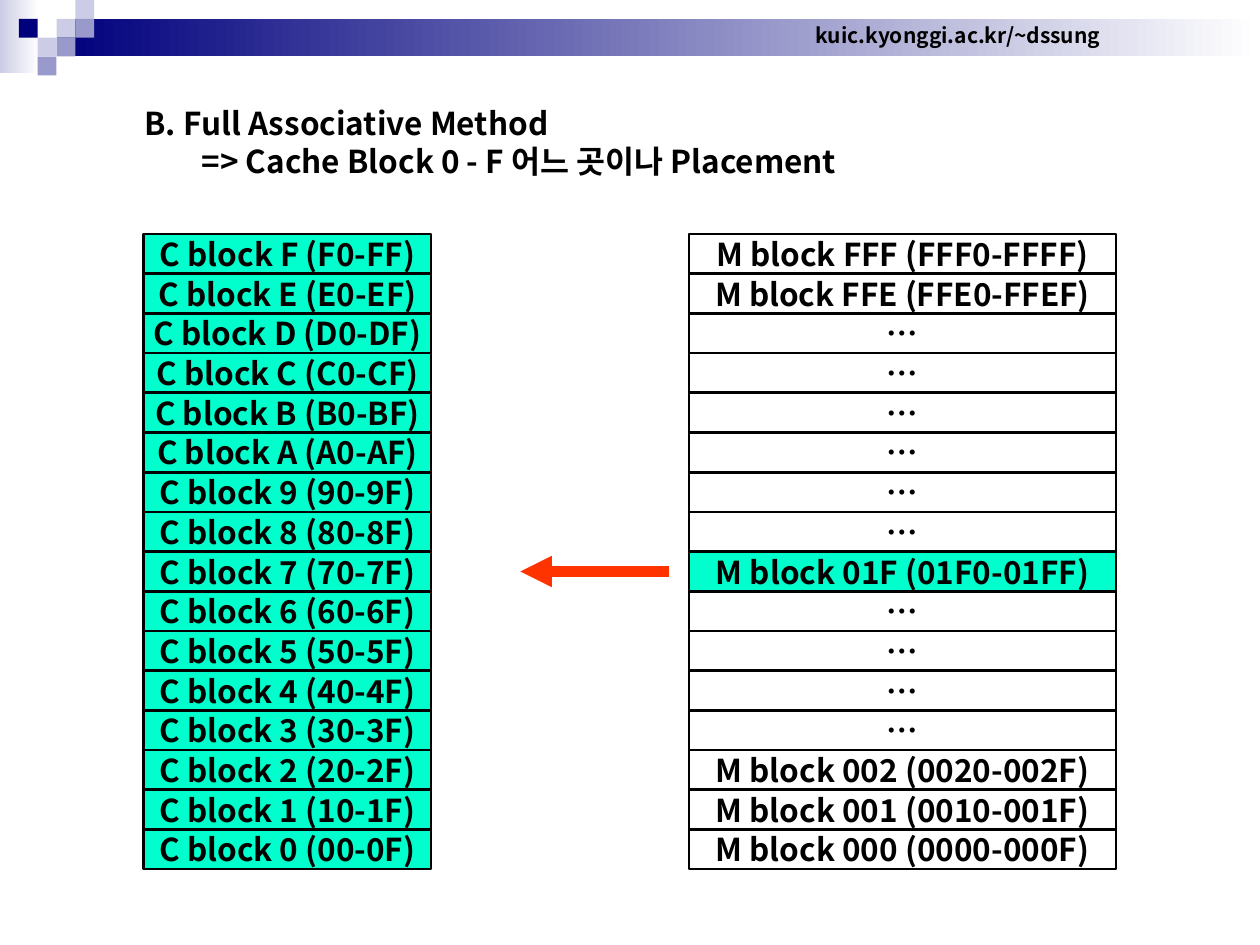
"""Builds a slide on the full associative method of cache block placement."""
from lxml.etree import SubElement
from pptx import Presentation
from pptx.dml.color import RGBColor
from pptx.enum.shapes import MSO_CONNECTOR as Connector, MSO_SHAPE as Shape
from pptx.enum.text import MSO_ANCHOR as Anchor, MSO_AUTO_SIZE as AutoSize, PP_ALIGN as Align
from pptx.oxml.ns import qn
from pptx.util import Cm, Pt

FONT = "Noto Sans CJK KR"
TITLE = [("B. Full Associative Method", 0.15),
         ("=> Cache Block 0 - F 어느 곳이나 Placement", 1.3)]
SITE = "kuic.kyonggi.ac.kr/~dssung"
MINT, WHITE, BLACK, RED = "00FFCC", "FFFFFF", "000000", "FF3300"
NAVY, LAVENDER, VIOLET = "00007D", "CCCCE6", "9999CC"

CACHE = [f"C block {digit} ({digit}0-{digit}F)" for digit in "FEDCBA9876543210"]
LOADED = "M block 01F (01F0-01FF)"
MEMORY = (["M block FFF (FFF0-FFFF)", "M block FFE (FFE0-FFEF)"] + ["…"] * 6
          + [LOADED] + ["…"] * 4
          + [f"M block 00{digit} (00{digit}0-00{digit}F)" for digit in "210"])
COLUMNS = [(MEMORY, 13.89, 8.61), (CACHE, 2.9, 5.79)]
TOP, ROW = 4.72, 0.8

BANDS = [(0, 0, 0.79, 1.47, LAVENDER), (1.14, 0.38, 24.26, 1.04 - 0.28, NAVY)]
TILE = 0.38
TILES = [(3, 1, LAVENDER), (4, 0, LAVENDER), (4, 1, VIOLET), (2, 2, LAVENDER),
         (1, 1, NAVY), (3, 2, VIOLET), (2, 3, VIOLET)]


def color(value):
    return RGBColor.from_string(value)


def apply(target, values):
    for name, value in values.items():
        setattr(target, name, value)


def write(para, text, size, align=Align.CENTER):
    para.alignment = align
    span = para.add_run()
    span.text = text
    apply(span.font, {"size": Pt(size), "bold": True, "name": FONT})
    span.font.color.rgb = color(BLACK)
    SubElement(span.font._element, qn("a:ea"), typeface=FONT)


def add_box(page, left, top, width, height, fill):
    box = page.shapes.add_shape(Shape.RECTANGLE, Cm(left), Cm(top), Cm(width), Cm(height))
    box.shadow.inherit = False
    box.fill.solid()
    box.fill.fore_color.rgb = color(fill)
    box.line.fill.background()
    return box


def add_header(page):
    for left, top, width, height, shade in BANDS:
        band = add_box(page, left, top, width, height, shade)
        band.fill.gradient()
        band.fill.gradient_angle = 0
        for stop, value in zip(band.fill.gradient_stops, (shade, WHITE)):
            stop.color.rgb = color(value)
    for column, row, shade in TILES:
        add_box(page, column * TILE, row * TILE, TILE, TILE, shade)
    box = page.shapes.add_textbox(Cm(16.18), Cm(0.33), Cm(6.27), Cm(0.77))
    apply(box.text_frame, {"word_wrap": False, "vertical_anchor": Anchor.MIDDLE})
    write(box.text_frame.paragraphs[0], SITE, 12)


def add_title(page):
    title = page.shapes.title
    apply(title, {"left": Cm(2.51), "top": Cm(1.96), "width": Cm(15.6), "height": Cm(1.78)})
    frame = title.text_frame
    apply(frame, {"word_wrap": False, "vertical_anchor": Anchor.TOP,
                  "auto_size": AutoSize.NONE})
    for index, (text, indent) in enumerate(TITLE):
        para = frame.add_paragraph() if index else frame.paragraphs[0]
        para.line_spacing = Pt(21.7)
        write(para, text, 18, Align.LEFT)
        para._p.get_or_add_pPr().set("marL", str(Cm(indent)))


def add_blocks(page):
    for labels, left, width in COLUMNS:
        for row, label in enumerate(labels):
            fill = MINT if labels is CACHE or label == LOADED else WHITE
            cell = add_box(page, left, TOP + row * ROW, width, ROW, fill)
            cell.line.color.rgb = color(BLACK)
            cell.line.width = Pt(1.5)
            apply(cell.text_frame, {"word_wrap": False, "vertical_anchor": Anchor.MIDDLE})
            write(cell.text_frame.paragraphs[0], label, 18)


def add_arrow(page):
    middle = Cm(TOP + (MEMORY.index(LOADED) + 0.5) * ROW)
    arrow = page.shapes.add_connector(Connector.STRAIGHT, Cm(13.49), middle, Cm(10.49), middle)
    arrow.line.color.rgb = color(RED)
    arrow.line.width = Pt(6)
    SubElement(arrow.line._get_or_add_ln(), qn("a:tailEnd"), type="triangle")
    SubElement(arrow._element.spPr, qn("a:effectLst"))


def main():
    deck = Presentation()
    apply(deck, {"slide_width": Cm(25.4), "slide_height": Cm(19.05)})
    page = deck.slides.add_slide(deck.slide_layouts[5])
    add_header(page)
    add_title(page)
    add_blocks(page)
    add_arrow(page)
    deck.save("out.pptx")


if __name__ == "__main__":
    main()
